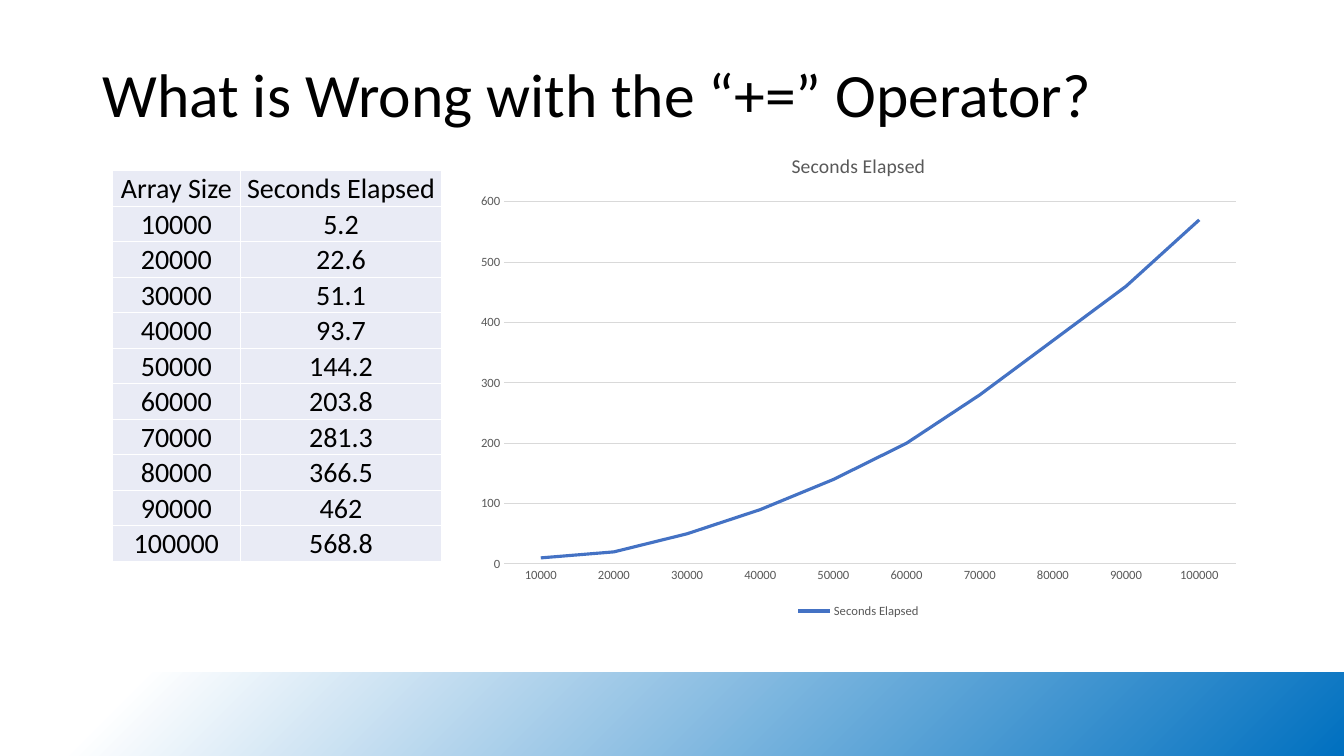
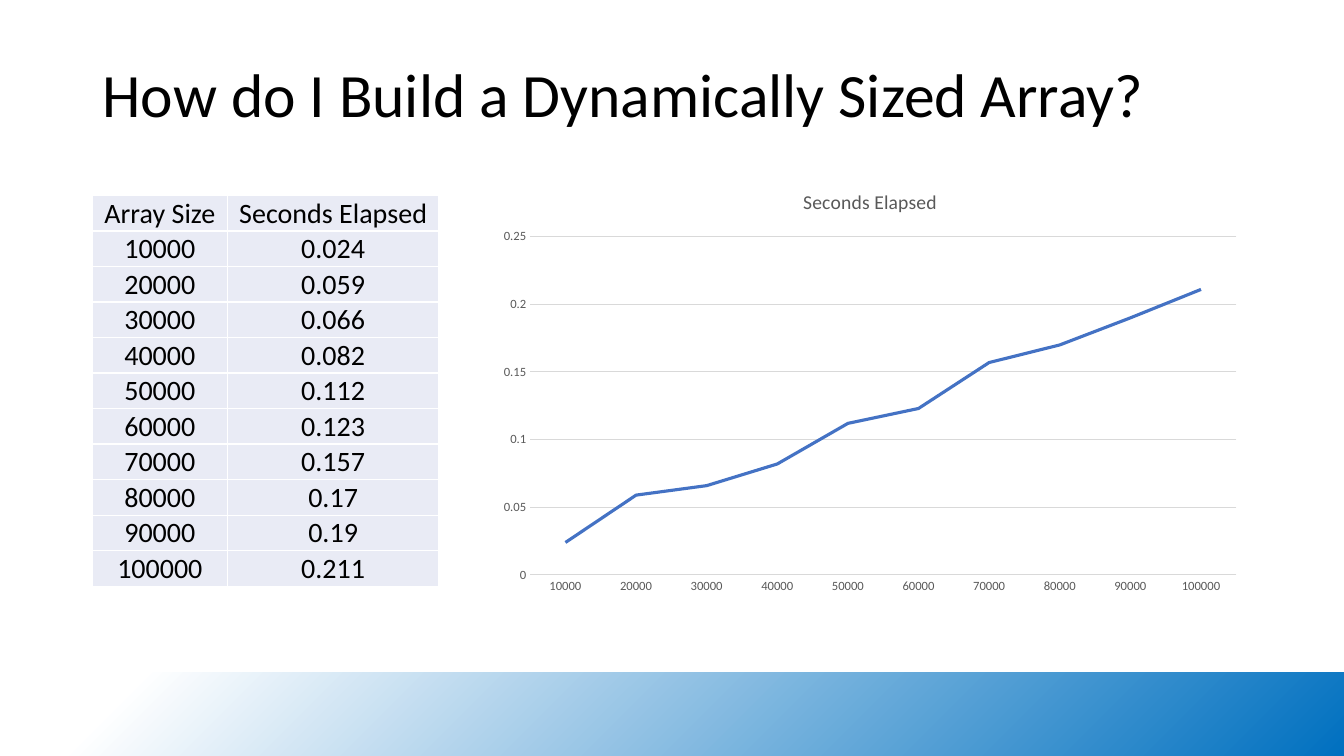
from lxml import etree
from pptx import Presentation
from pptx.chart.data import CategoryChartData
from pptx.dml.color import RGBColor
from pptx.enum.chart import XL_CHART_TYPE as ChartType
from pptx.enum.chart import XL_LEGEND_POSITION as LegendPosition
from pptx.enum.chart import XL_MARKER_STYLE as MarkerStyle
from pptx.enum.chart import XL_TICK_MARK as TickMark
from pptx.enum.shapes import MSO_SHAPE as Shape
from pptx.enum.text import MSO_ANCHOR as Anchor
from pptx.enum.text import PP_ALIGN as Align
from pptx.oxml.ns import qn
from pptx.util import Pt

SIZES = [str(size) for size in range(10000, 100001, 10000)]
HEADINGS = ("Array Size", "Seconds Elapsed")


def color(value):
    """Turn a hex string into a colour."""
    return RGBColor.from_string(value)


def assign(target, values):
    """Set each attribute named in the dict."""
    for name, value in values.items():
        setattr(target, name, value)


class Deck:
    """Hold the shared style and the current page."""

    face = "Calibri"
    black, white, blue = "000000", "FFFFFF", "0070C0"
    gray, rule, curve, tint = "595959", "D9D9D9", "4472C4", "E9EBF5"
    title_area = (66, 17.6, 828, 104.4)
    band_area = (0, 480.3, 960, 59.7)
    row_height = 25.38

    def __init__(self):
        """Start a wide presentation."""
        self.show = Presentation()
        assign(self.show, {"slide_width": Pt(960), "slide_height": Pt(540)})
        self.page = None

    def style_font(self, font, size, tone):
        """Apply the shared face with a size and colour."""
        assign(font, {"name": self.face, "size": Pt(size), "bold": False})
        font.color.rgb = color(tone)

    def style_line(self, line, tone, width):
        """Give a line its colour and width."""
        line.color.rgb = color(tone)
        line.width = Pt(width)

    def add_page(self, title):
        """Add a page with its title and bottom band."""
        self.page = self.show.slides.add_slide(self.show.slide_layouts[5])
        box = self.page.shapes.title
        places = map(Pt, self.title_area)
        assign(box, dict(zip(("left", "top", "width", "height"), places)))
        frame = box.text_frame
        frame.text = title
        assign(frame, {"vertical_anchor": Anchor.MIDDLE, "word_wrap": True})
        para = frame.paragraphs[0]
        assign(para, {"alignment": Align.LEFT, "line_spacing": 0.9})
        self.style_font(para.runs[0].font, 44, self.black)
        self.add_band()

    def add_band(self):
        """Draw the diagonal white-to-blue band."""
        band = self.page.shapes.add_shape(
            Shape.RECTANGLE, *map(Pt, self.band_area))
        band.shadow.inherit = False
        band.line.fill.background()
        band.fill.gradient()
        band.fill.gradient_angle = 315
        stops = ((0.1, self.white), (1, self.blue))
        for stop, (position, tone) in zip(band.fill.gradient_stops, stops):
            stop.color.rgb = color(tone)
            stop.position = position

    def add_table(self, left, top, widths, rows):
        """Add a centred table with one tint and white borders."""
        table = self.page.shapes.add_table(
            len(rows), len(widths), Pt(left), Pt(top),
            Pt(sum(widths)), Pt(self.row_height * len(rows))).table
        assign(table, {"first_row": False, "horz_banding": False})
        for column, width in zip(table.columns, widths):
            column.width = Pt(width)
        for row, texts in zip(table.rows, rows):
            row.height = Pt(self.row_height)
            for cell, text in zip(row.cells, texts):
                self.fill_cell(cell, text)

    def fill_cell(self, cell, text):
        """Write and format one table cell."""
        cell.text = text
        assign(cell, {
            "vertical_anchor": Anchor.MIDDLE,
            "margin_left": Pt(0.75), "margin_right": Pt(0.75),
            "margin_top": Pt(0.75), "margin_bottom": 0,
        })
        para = cell.text_frame.paragraphs[0]
        para.alignment = Align.CENTER
        self.style_font(para.runs[0].font, 20, self.black)
        properties = cell._tc.get_or_add_tcPr()
        for side in ("a:lnL", "a:lnR", "a:lnT", "a:lnB"):
            edge = etree.SubElement(properties, qn(side), w=str(Pt(1)))
            paint = etree.SubElement(edge, qn("a:solidFill"))
            etree.SubElement(paint, qn("a:srgbClr"), val=self.white)
        cell.fill.solid()
        cell.fill.fore_color.rgb = color(self.tint)

    def add_chart(self, area, name, values, legend):
        """Add a line chart of elapsed time by array size."""
        data = CategoryChartData()
        data.categories = SIZES
        data.add_series(name, values)
        chart = self.page.shapes.add_chart(
            ChartType.LINE, *map(Pt, area), data).chart
        self.style_font(chart.font, 10, self.black)
        chart.has_title = True
        chart.chart_title.include_in_layout = False
        frame = chart.chart_title.text_frame
        frame.text = name
        self.style_font(frame.paragraphs[0].runs[0].font, 14, self.gray)
        chart.has_legend = legend
        if legend:
            assign(chart.legend, {"position": LegendPosition.BOTTOM,
                                  "include_in_layout": False})
            self.style_font(chart.legend.font, 9, self.gray)
        for axis in (chart.category_axis, chart.value_axis):
            assign(axis, {"major_tick_mark": TickMark.NONE,
                          "minor_tick_mark": TickMark.NONE})
            self.style_font(axis.tick_labels.font, 9, self.gray)
        self.style_line(chart.category_axis.format.line, self.rule, 0.75)
        chart.value_axis.format.line.fill.background()
        grid = chart.value_axis.major_gridlines.format.line
        self.style_line(grid, self.rule, 0.75)
        plot = chart.plots[0]
        plot.vary_by_categories = False
        series = plot.series[0]
        series.smooth = False
        series.marker.style = MarkerStyle.NONE
        self.style_line(series.format.line, self.curve, 2.25)

    def add_timing(self, title, values, digits, chart_area, corner, widths,
                   legend):
        """Add a page with exact timings in a table and rounded in a chart."""
        self.add_page(title)
        rounded = [round(value, digits) for value in values]
        self.add_chart(chart_area, HEADINGS[1], rounded, legend)
        rows = [HEADINGS, *zip(SIZES, map(str, values))]
        self.add_table(*corner, widths, rows)


def main():
    """Build both timing pages."""
    deck = Deck()
    deck.add_timing(
        "What is Wrong with the “+=” Operator?",
        (5.2, 22.6, 51.1, 93.7, 144.2, 203.8, 281.3, 366.5, 462, 568.8),
        digits=-1, chart_area=(332.4, 95.4, 561.6, 349.2),
        corner=(80, 121.9), widths=(92, 143.3), legend=True)
    deck.add_timing(
        "How do I Build a Dynamically Sized Array?",
        (0.024, 0.059, 0.066, 0.082, 0.112, 0.123, 0.157, 0.17, 0.19, 0.211),
        digits=3, chart_area=(349, 122, 545, 308.2),
        corner=(66, 139.6), widths=(96.5, 151), legend=False)
    deck.show.save("out.pptx")


if __name__ == "__main__":
    main()
